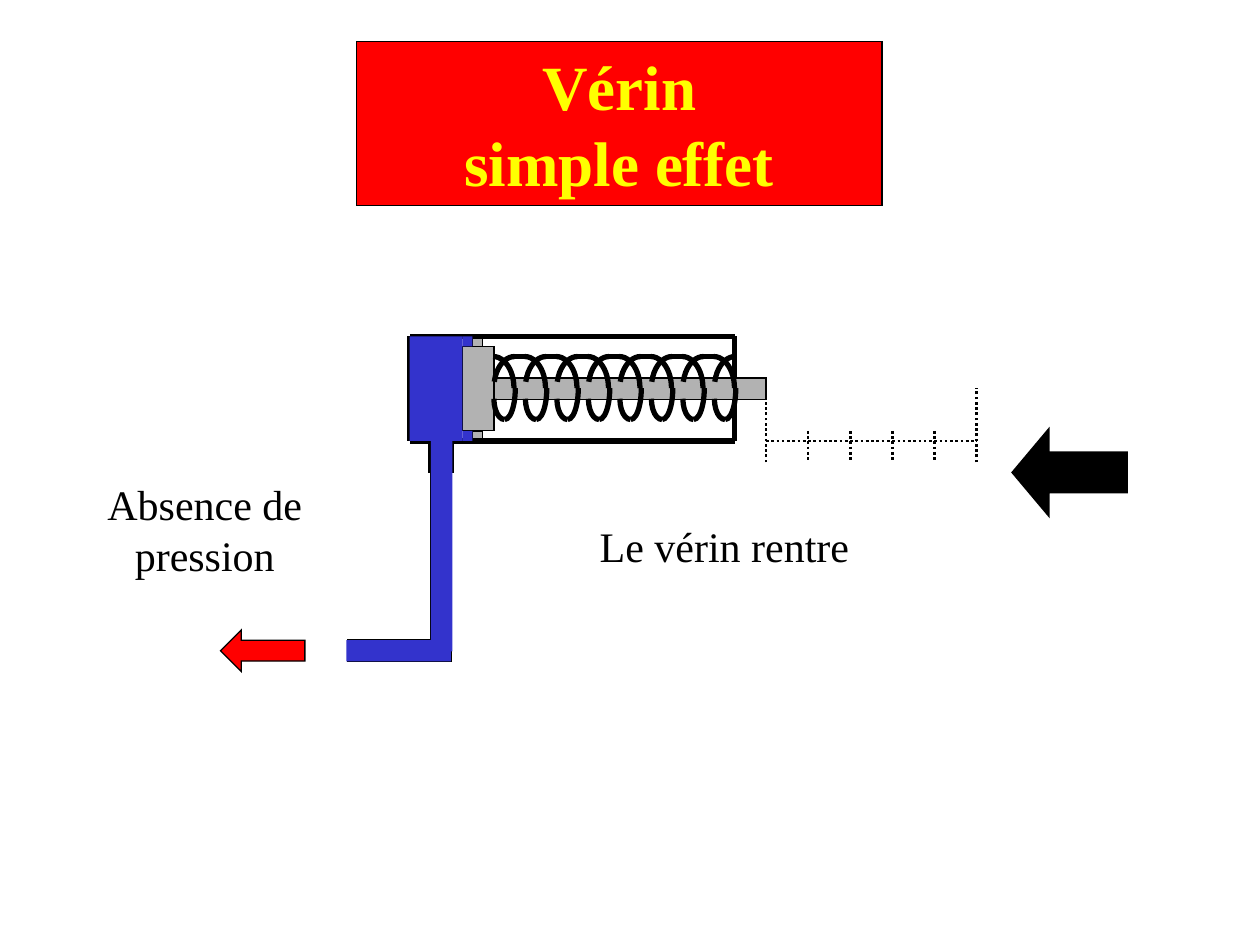
from lxml import etree
from pptx import Presentation, util as u
from pptx.dml.color import RGBColor
from pptx.enum import dml, shapes, text
from pptx.oxml.ns import qn

BLACK, RED, YELLOW, GREY, BLUE = "000000", "FF0000", "FFFF00", "B2B2B2", "3333CC"
SHAPE = shapes.MSO_SHAPE


def color(value):
    return RGBColor.from_string(value)


class Sketch:
    font = "Times New Roman"

    def __init__(self, slide):
        self.s = slide

    def outline(self, sp, width):
        if not width:
            sp.line.fill.background()
            return
        sp.line.color.rgb = color(BLACK)
        sp.line.width = u.Pt(width)
        ln = sp._element.spPr.get_or_add_ln()
        etree.SubElement(ln, qn("a:miter"), lim="800000")

    def shape(self, kind, x, y, w, h, fill=None, line=0.75, adj=()):
        sp = self.s.shapes.add_shape(kind, *map(u.Inches, (x, y, w, h)))
        sp.shadow.inherit = False
        for i, value in enumerate(adj):
            sp.adjustments[i] = value
        if fill:
            sp.fill.solid()
            sp.fill.fore_color.rgb = color(fill)
        else:
            sp.fill.background()
        self.outline(sp, line)
        return sp

    def rect(self, *box, **fmt):
        return self.shape(SHAPE.RECTANGLE, *box, **fmt)

    def arc(self, x, y, w, h, start, end):
        return self.shape(SHAPE.ARC, x, y, w, h, line=3, adj=(start * 0.6, end * 0.6))

    def line(self, x1, y1, x2, y2, width=3, dash=None):
        c = self.s.shapes.add_connector(
            shapes.MSO_CONNECTOR.STRAIGHT, *map(u.Inches, (x1, y1, x2, y2)))
        c.line.color.rgb = color(BLACK)
        c.line.width = u.Pt(width)
        if dash:
            c.line.dash_style = dash
        etree.SubElement(c._element.spPr, qn("a:effectLst"))
        return c

    def dotted(self, *ends):
        return self.line(*ends, width=1.5, dash=dml.MSO_LINE.ROUND_DOT)

    def put_text(self, sp, words, size, before, fill=BLACK, bold=False):
        tf = sp.text_frame
        frame = {"word_wrap": True, "vertical_anchor": text.MSO_ANCHOR.TOP,
                 "auto_size": text.MSO_AUTO_SIZE.SHAPE_TO_FIT_TEXT}
        for name, value in frame.items():
            setattr(tf, name, value)
        p = tf.paragraphs[0]
        p.text = words
        p.alignment = text.PP_ALIGN.CENTER
        p.space_before = u.Pt(before)
        for r in p.runs:
            for name, value in {"name": self.font, "size": u.Pt(size), "bold": bold}.items():
                setattr(r.font, name, value)
            r.font.color.rgb = color(fill)

    def label(self, words, *box):
        sp = self.s.shapes.add_textbox(*map(u.Inches, box))
        self.put_text(sp, words, 24, 15)

    def coil(self, x):
        self.arc(x - 0.17, 2.83, 0.33, 0.5, 270, 0)
        self.arc(x, 2.83, 0.17, 0.5, 0, 90)
        self.arc(x, 3, 0.17, 0.33, 90, 180)
        self.arc(x, 2.83, 0.33, 0.5, 197, 270)


def main():
    prs = Presentation()
    prs.slide_width, prs.slide_height = u.Inches(10), u.Inches(7.5)
    s = Sketch(prs.slides.add_slide(prs.slide_layouts[6]))

    title = s.rect(2.83, 0.33, 4.17, 1.3, fill=RED)
    s.put_text(title, "Vérin\vsimple effet", 36, 22.5, YELLOW, True)

    left, right, top, bottom = 3.25, 5.83, 2.67, 3.5
    port_left, port_right, port_end = 3.42, 3.58, 3.75
    s.line(right, bottom, right, top)
    s.rect(3.67, 2.75, 0.25, 0.67, fill=GREY)
    for y in (top, 3.42):
        s.rect(3.75, y, 0.08, 0.08, fill=GREY)
    rod = s.rect(3.92, 3, 2.16, 0.17, fill=GREY)
    for ends in ((port_right, bottom, right, bottom),
                 (port_right, bottom, port_right, port_end),
                 (port_left, bottom, port_left, port_end),
                 (right, top, left, top),
                 (left, top, left, bottom),
                 (left, bottom, port_left, bottom)):
        s.line(*ends)

    coils, pitch = 8, 0.25
    for i in range(coils):
        x = 3.92 + i * pitch
        s.coil(x)
        if i < coils - 1:
            s.line(x + 0.16, 2.83, x + pitch, 2.83)

    for x, y in ((port_left, 5.08), (port_right, 5.25)):
        s.line(x, port_end, x, y, width=0.75)
        s.line(x, y, 2.75, y, width=0.75)
    for box in ((2.75, 5.08, 0.83, 0.17), (port_left, bottom, 0.17, 1.67),
                (left, top, 0.42, 0.83), (3.67, 3.42, 0.08, 0.08),
                (3.67, top, 0.08, 0.08)):
        s.rect(*box, fill=BLUE, line=None)
    s.shape(SHAPE.LEFT_ARROW, 1.75, 5, 0.67, 0.33, fill=RED, adj=(0.5, 0.5))

    start, end, steps = 6.08, 7.75, 5
    s.dotted(start, 3.5, end, 3.5)
    s.dotted(end, 3.67, end, 3.08)
    s.dotted(start, 3.67, start, 3.08).end_connect(rod, 3)
    for i in range(1, steps):
        x = start + i * (end - start) / steps
        s.dotted(x, 3.42, x, 3.67)

    s.shape(SHAPE.LEFT_ARROW, 8.08, 3.5, 0.83, 0.5, fill=BLACK, line=6, adj=(0.5, 0.42))
    s.label("Absence de pression", 0.75, 3.75, 1.75, 0.9)
    s.label("Le vérin rentre", 4, 4.08, 3.5, 0.5)
    prs.save("out.pptx")


if __name__ == "__main__":
    main()
